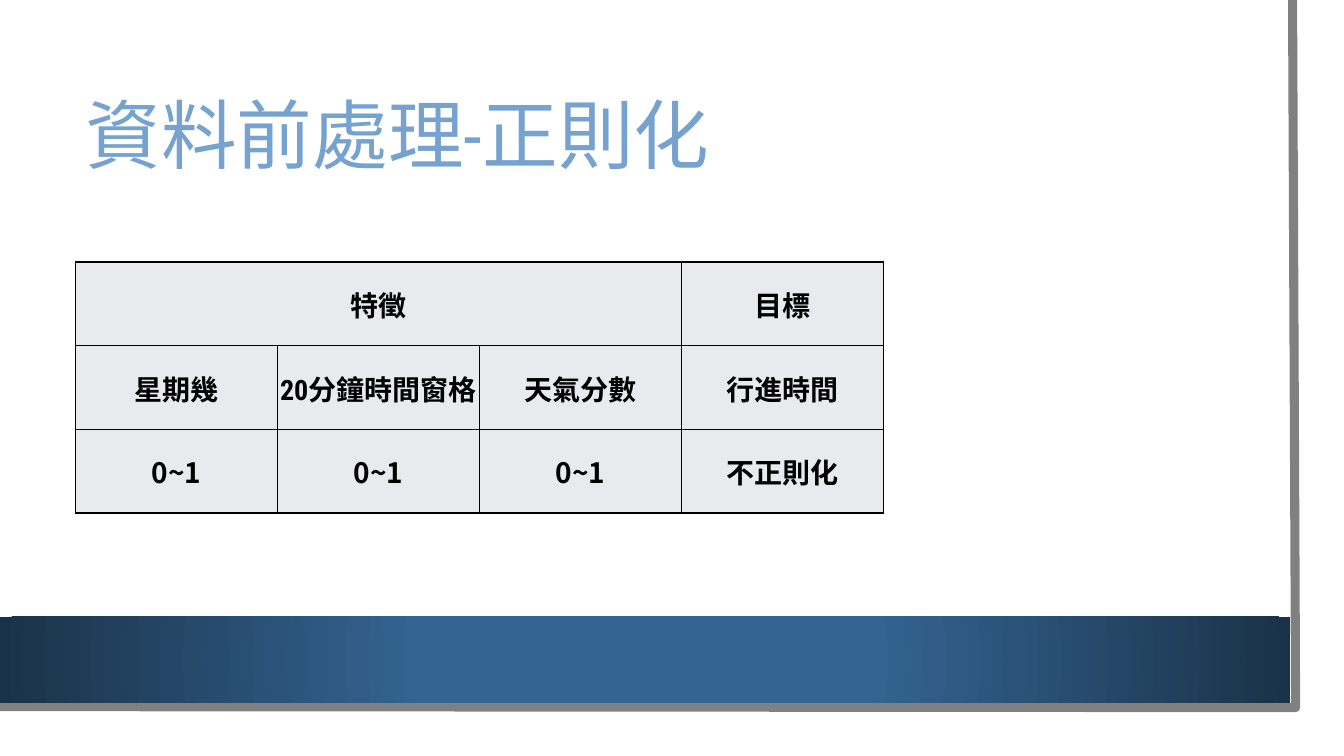
import pptx
import pptx.util
import pptx.dml.color
import pptx.enum.dml
import pptx.enum.shapes
import pptx.enum.text
import pptx.oxml
import pptx.oxml.ns
from lxml import etree

Inches = pptx.util.Inches
Pt = pptx.util.Pt
qn = pptx.oxml.ns.qn

HUES = {
    "sheet": "FFFFFF",
    "edge": "808080",
    "mid": "346492",
    "dark": "1A3249",
    "title": "75A2CE",
    "cell": "E8EAEE",
    "ink": "000000",
}
HAN = "Noto Sans CJK TC"
SLIM = "Roboto Condensed"
ROWS = [
    ["特徵", "", "", "目標"],
    ["星期幾", "20分鐘時間窗格", "天氣分數", "行進時間"],
    ["0~1", "0~1", "0~1", "不正則化"],
]


def hue(name):
    return pptx.dml.color.RGBColor.from_string(HUES[name])


def apply(item, form):
    for key, value in form.items():
        setattr(item, key, value)


def write(frame, text, face, size, color, bold, align, lead=1.0):
    frame.text = text
    para = frame.paragraphs[0]
    apply(para, {"alignment": align, "line_spacing": lead})
    run = para.runs[0]
    apply(run.font, {"name": face, "size": Pt(size), "bold": bold})
    run.font.color.rgb = hue(color)
    east = etree.SubElement(run.font._element, qn("a:ea"))
    east.set("typeface", HAN)


def add_box(slide, left, top, width, height):
    shape = slide.shapes.add_shape(
        pptx.enum.shapes.MSO_SHAPE.RECTANGLE,
        Inches(left), Inches(top), Inches(width), Inches(height))
    shape.shadow.inherit = False
    shape.line.fill.background()
    return shape


def add_sheet(slide, left, top, width, height):
    sheet = add_box(slide, left, top, width, height)
    sheet.fill.solid()
    sheet.fill.fore_color.rgb = hue("sheet")


def add_edge(slide, left, top, width, height):
    spots = [(width - 0.03, 0), (width, height), (0, height - 0.01)]
    spots = [(Inches(left + x), Inches(top + y)) for x, y in spots]
    pen = slide.shapes.build_freeform(*spots[0])
    pen.add_line_segments(spots[1:], close=False)
    edge = pen.convert_to_shape()
    edge.shadow.inherit = False
    edge.fill.background()
    edge.line.color.rgb = hue("edge")
    edge.line.width = Pt(6.5)


def add_band(slide, left, top, width, height):
    band = add_box(slide, left, top, width, height)
    band.fill.gradient()
    stops = zip(band.fill.gradient_stops, [(0.34, "mid"), (1.0, "dark")])
    for stop, (place, name) in stops:
        stop.position = place
        stop.color.rgb = hue(name)
    grad = band._element.spPr.find(qn("a:gradFill"))
    grad.remove(grad.find(qn("a:lin")))
    ring = etree.SubElement(grad, qn("a:path"))
    ring.set("path", "circle")
    core = etree.SubElement(ring, qn("a:fillToRect"))
    for side in "ltrb":
        core.set(side, "50000")


def set_title(slide, left, top, width, height):
    title = slide.shapes.title
    slide.shapes._spTree.append(title._element)
    apply(title, {"left": Inches(left), "top": Inches(top),
                  "width": Inches(width), "height": Inches(height)})
    write(title.text_frame, "資料前處理-正則化", SLIM, 54, "title", False,
          pptx.enum.text.PP_ALIGN.LEFT, 0.9)
    apply(title.text_frame, {
        "vertical_anchor": pptx.enum.text.MSO_ANCHOR.MIDDLE,
        "word_wrap": True,
        "auto_size": pptx.enum.text.MSO_AUTO_SIZE.NONE})


def set_rules(cell):
    props = cell._tc.get_or_add_tcPr()
    for spot, side in enumerate(["lnL", "lnR", "lnT", "lnB"]):
        rule = etree.Element(qn("a:" + side), w=str(Pt(1)))
        fill = etree.SubElement(rule, qn("a:solidFill"))
        etree.SubElement(fill, qn("a:srgbClr"), val=HUES["ink"])
        props.insert(spot, rule)


def add_grid(slide, left, top, width, height):
    table = slide.shapes.add_table(
        len(ROWS), len(ROWS[0]), Inches(left), Inches(top),
        Inches(width), Inches(height)).table
    apply(table, {"first_row": False, "horz_banding": False})
    table.cell(0, 0).merge(table.cell(0, 2))
    form = {
        "vertical_anchor": pptx.enum.text.MSO_ANCHOR.MIDDLE,
        "margin_left": Inches(0.01),
        "margin_right": Inches(0.01),
        "margin_top": Inches(0.01),
        "margin_bottom": 0,
    }
    for row, texts in enumerate(ROWS):
        for col, text in enumerate(texts):
            cell = table.cell(row, col)
            apply(cell, form)
            cell.fill.solid()
            cell.fill.fore_color.rgb = hue("cell")
            set_rules(cell)
            if text:
                face = SLIM if text.startswith("20") else HAN
                write(cell.text_frame, text, face, 20, "ink", True,
                      pptx.enum.text.PP_ALIGN.CENTER)


def main():
    deck = pptx.Presentation()
    apply(deck, {"slide_width": Inches(13.33), "slide_height": Inches(7.5)})
    slide = deck.slides.add_slide(deck.slide_layouts[5])
    add_sheet(slide, 0, 0, 13.1, 7.27)
    add_edge(slide, -0.03, 0, 12.88, 7.02)
    add_band(slide, 0, 6.12, 12.8, 0.85)
    set_title(slide, 0.75, 0.75, 11.37, 1.26)
    add_grid(slide, 0.75, 2.6, 8.01, 2.49)
    deck.save("out.pptx")


if __name__ == "__main__":
    main()
